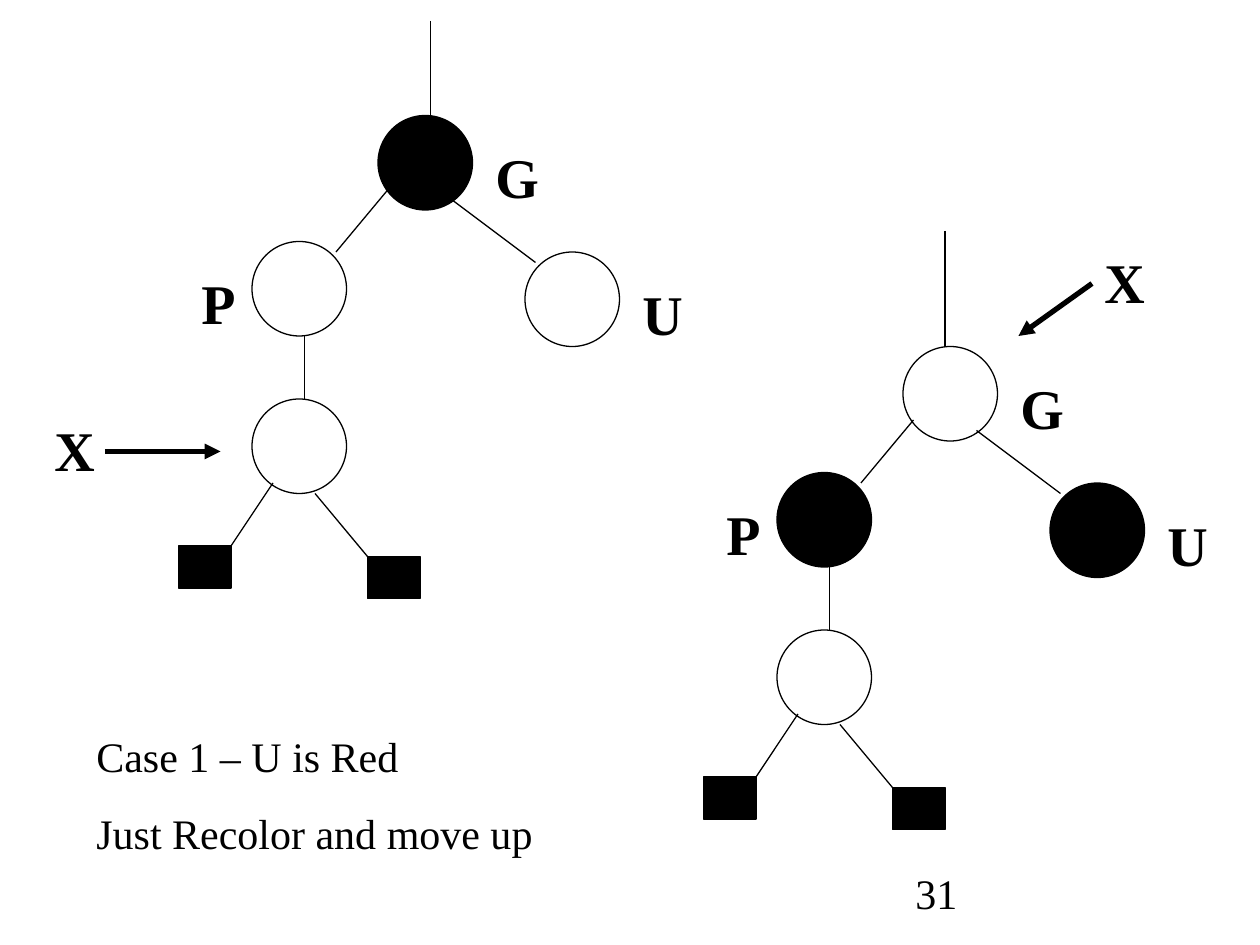
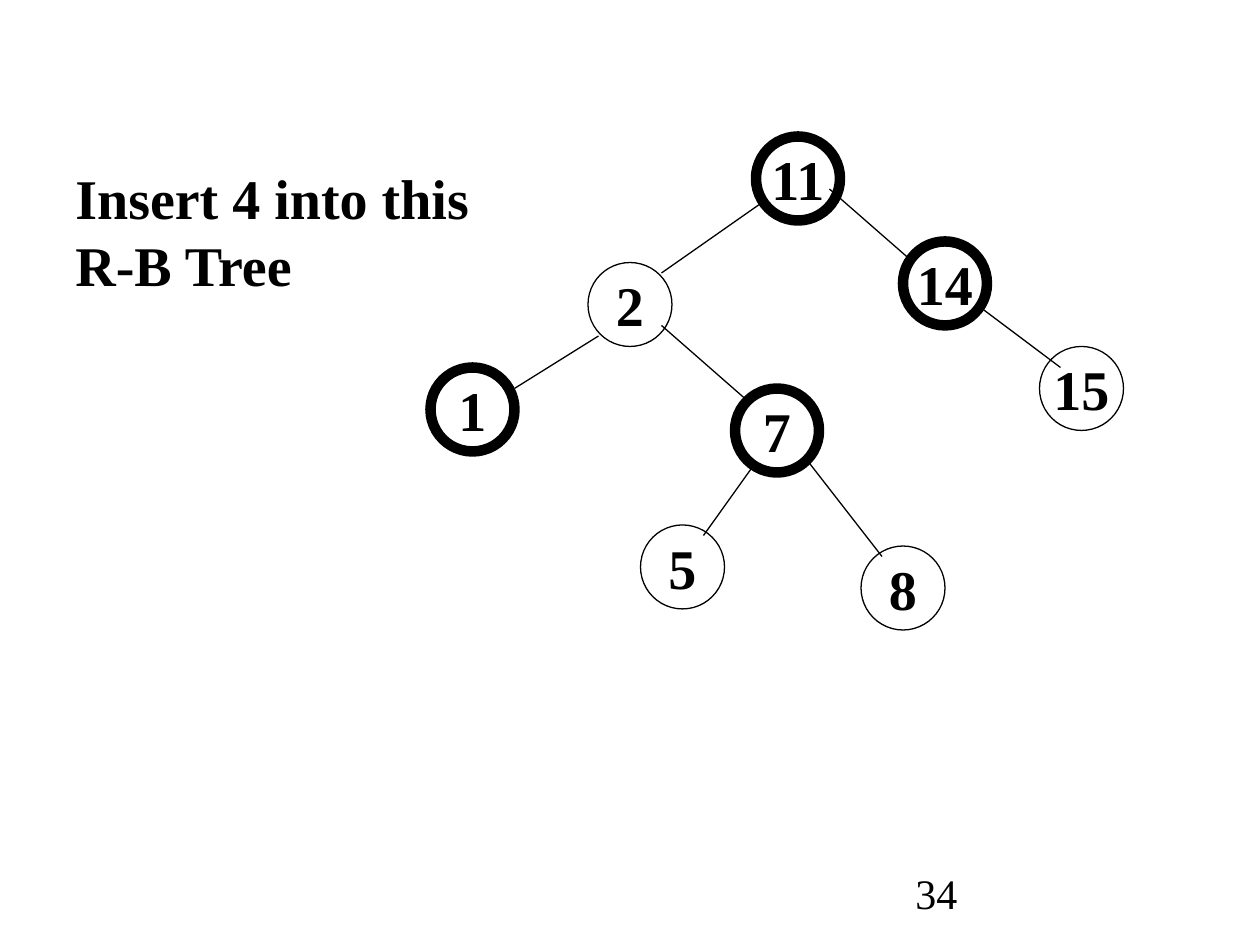
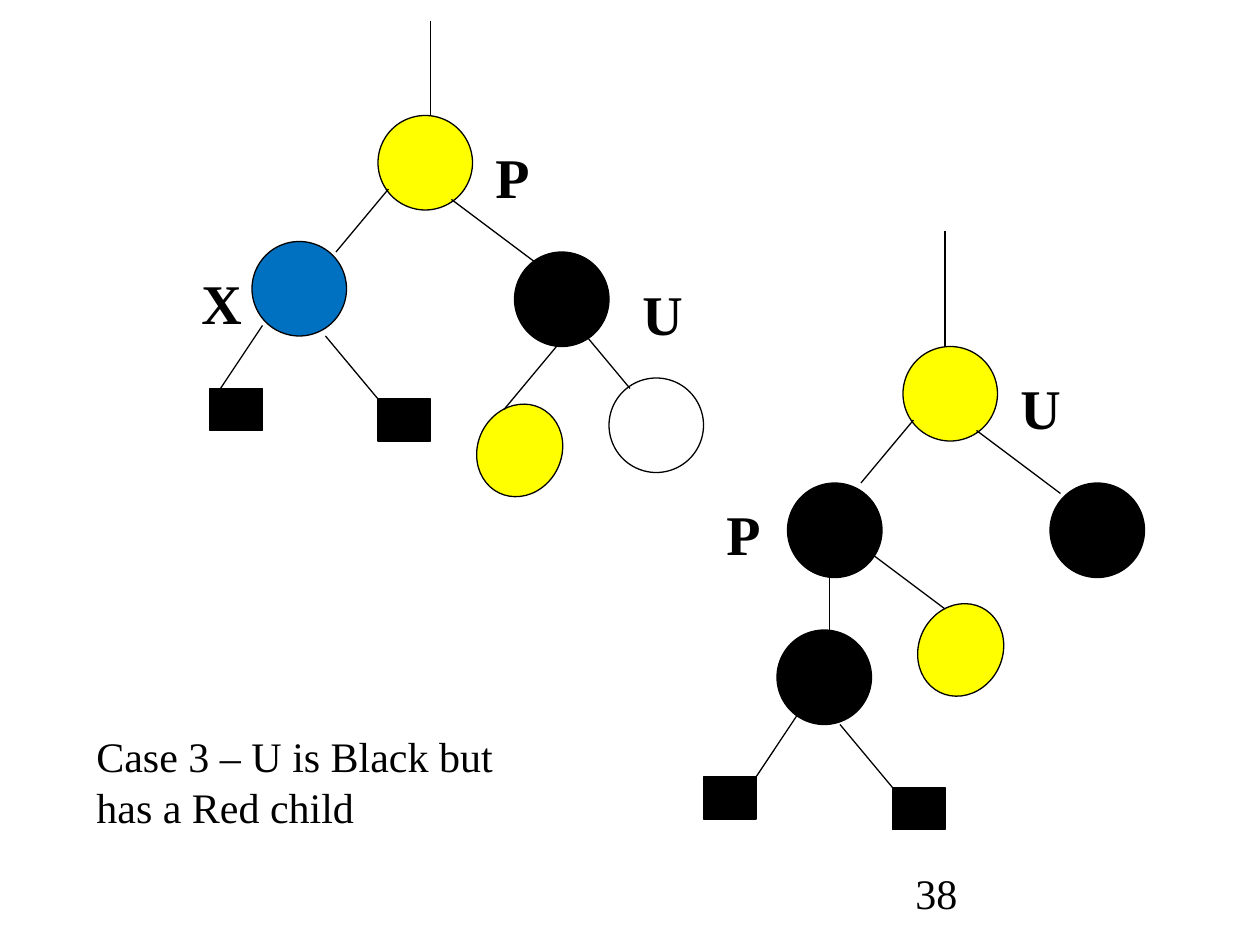
"""Build three slides of red-black tree insertion diagrams on a grid of twelfths of an inch."""
from lxml import etree
from pptx import Presentation
from pptx.dml.color import RGBColor
from pptx.enum.shapes import MSO_CONNECTOR, MSO_SHAPE
from pptx.enum.text import MSO_ANCHOR, PP_ALIGN
from pptx.oxml.ns import qn
from pptx.util import Inches, Pt

OVAL = MSO_SHAPE.OVAL
RECTANGLE = MSO_SHAPE.RECTANGLE
STRAIGHT = MSO_CONNECTOR.STRAIGHT
MIDDLE = MSO_ANCHOR.MIDDLE
CENTER = PP_ALIGN.CENTER

FONT = "Times New Roman"
BLACK, WHITE, YELLOW, BLUE = "000000", "FFFFFF", "FFFF00", "0070C0"
THIN, ARROW, THICK = 0.75, 3, 6
LARGE, SMALL = 32, 24

COLUMNS, ROWS = 120, 90
NODE, KEY_NODE = (9, 9), (8, 8)
LEAF, TILTED = (5, 4), (9, 8)
TILT = 296
LABEL_HEIGHT = 7.7
NUMBER_BOX = (86, 82, 25, 6)
LEFT, RIGHT = (0, 0), (50, 22)

LEFT_STEM, RIGHT_STEM = (41, 2, 41, 11), (40, 0, 40, 11)
ROOT_EDGES = [(37, 18, 32, 24), (43, 19, 51, 25)]
CHILD_EDGES = [(29, 32, 29, 38), (26, 46, 22, 52), (30, 47, 35, 53)]
CHILD_LEAVES = [(17, 52), (35, 53)]


def family(stem, root, parent, uncle):
    """Describe a grandparent, parent, uncle and child for the recoloring case."""
    return {
        "nodes": [(36, 11, root), (24, 23, parent), (50, 24, uncle), (24, 38, WHITE)],
        "leaves": CHILD_LEAVES,
        "edges": [stem, *ROOT_EDGES, *CHILD_EDGES],
        "labels": [("P", 18, 25, 5), ("G", 46, 13, 7), ("U", 60, 26, 5)],
    }


RECOLOR_TREES = [
    (LEFT, family(LEFT_STEM, BLACK, WHITE, WHITE)),
    (RIGHT, family(RIGHT_STEM, WHITE, BLACK, BLACK)),
]
RECOLOR_MARKERS = [
    (("X", 4, 39, 9), (10, 43, 21, 43)),
    (("X", 104, 23, 8), (104, 27, 97, 32)),
]
ROTATION_TREES = [
    (LEFT, {
        "nodes": [(36, 11, YELLOW), (24, 23, BLUE), (49, 24, BLACK), (58, 36, WHITE)],
        "tilted": [(45, 38.9)],
        "leaves": [(20, 37), (36, 38)],
        "edges": [LEFT_STEM, *ROOT_EDGES, (25, 31, 21, 37), (31, 32, 36, 38),
                  (55, 31, 60, 37), (53, 33, 48, 39)],
        "labels": [("X", 18, 25, 5), ("P", 46, 13, 7), ("U", 60, 26, 5)],
    }),
    (RIGHT, {
        "nodes": [(36, 11, YELLOW), (25, 24, BLACK), (50, 24, BLACK), (24, 38, BLACK)],
        "tilted": [(37, 35.9)],
        "leaves": CHILD_LEAVES,
        "edges": [RIGHT_STEM, *ROOT_EDGES, *CHILD_EDGES, (32, 30, 40, 36)],
        "labels": [("P", 18, 25, 5), ("U", 46, 13, 7)],
    }),
]
KEYS = [
    ("11", 72, 13, THICK), ("14", 86, 23, THICK), ("15", 99, 33, THIN), ("2", 56, 25, THIN),
    ("1", 41, 35, THICK), ("7", 70, 37, THICK), ("5", 61, 50, THIN), ("8", 82, 52, THIN),
]
KEY_EDGES = [
    (73, 19, 63, 26), (57, 32, 49, 37), (63, 31, 71, 38), (72, 44, 67, 51),
    (77, 44, 84, 53), (79, 18, 87, 25), (93, 29, 101, 35),
]


def grid(*units):
    """Turn grid units into lengths."""
    return [Inches(unit / 12) for unit in units]


def color(value):
    """Turn a hex string into a colour."""
    return RGBColor.from_string(value)


def write(paragraph, text, size, bold):
    """Add one black run to a paragraph."""
    run = paragraph.add_run()
    run.text = text
    run.font.name = FONT
    run.font.size = Pt(size)
    run.font.bold = bold
    run.font.color.rgb = color(BLACK)


def add_text(slide, box, lines, size, bold=False, space=0):
    """Add a wrapping text box with one paragraph per line."""
    frame = slide.shapes.add_textbox(*grid(*box)).text_frame
    frame.word_wrap = True
    for index, line in enumerate(lines):
        paragraph = frame.add_paragraph() if index else frame.paragraphs[0]
        paragraph.space_before = Pt(space)
        write(paragraph, line, size, bold)


def add_label(slide, text, left, top, width):
    """Add a bold letter beside a node."""
    add_text(slide, (left, top, width, LABEL_HEIGHT), [text], LARGE, True, 20)


def add_node(slide, kind, position, size, fill=BLACK, weight=THIN):
    """Add an outlined node or leaf."""
    shape = slide.shapes.add_shape(kind, *grid(*position, *size))
    shape.shadow.inherit = False
    shape.fill.solid()
    shape.fill.fore_color.rgb = color(fill)
    shape.line.color.rgb = color(BLACK)
    shape.line.width = Pt(weight)
    return shape


def add_edge(slide, ends, weight=THIN, arrow=False):
    """Add a straight line, with an arrowhead at its end if asked."""
    connector = slide.shapes.add_connector(STRAIGHT, *grid(*ends))
    connector.line.color.rgb = color(BLACK)
    connector.line.width = Pt(weight)
    if arrow:
        etree.SubElement(connector.line._get_or_add_ln(), qn("a:tailEnd"), type="triangle")
    etree.SubElement(connector._element.spPr, qn("a:effectLst"))


def add_tree(slide, offset, tree):
    """Draw one tree moved by its offset."""
    across, down = offset
    for left, top, fill in tree["nodes"]:
        add_node(slide, OVAL, (left + across, top + down), NODE, fill)
    for left, top in tree.get("tilted", []):
        add_node(slide, OVAL, (left + across, top + down), TILTED, YELLOW).rotation = TILT
    for left, top in tree["leaves"]:
        add_node(slide, RECTANGLE, (left + across, top + down), LEAF)
    for x1, y1, x2, y2 in tree["edges"]:
        add_edge(slide, (x1 + across, y1 + down, x2 + across, y2 + down))
    for text, left, top, width in tree["labels"]:
        add_label(slide, text, left + across, top + down, width)


def add_key(slide, text, left, top, weight):
    """Add a node holding a number."""
    shape = add_node(slide, OVAL, (left, top), KEY_NODE, WHITE, weight)
    frame = shape.text_frame
    frame.word_wrap = False
    frame.vertical_anchor = MIDDLE
    frame.paragraphs[0].alignment = CENTER
    write(frame.paragraphs[0], text, LARGE, True)


def add_slide(presentation, number):
    """Add a blank slide with its page number."""
    slide = presentation.slides.add_slide(presentation.slide_layouts[6])
    add_text(slide, NUMBER_BOX, [number], SMALL)
    return slide


def main():
    """Build and save the slides."""
    presentation = Presentation()
    presentation.slide_width, presentation.slide_height = grid(COLUMNS, ROWS)

    recolor = add_slide(presentation, "31")
    for offset, tree in RECOLOR_TREES:
        add_tree(recolor, offset, tree)
    for label, arrow in RECOLOR_MARKERS:
        add_label(recolor, *label)
        add_edge(recolor, arrow, ARROW, True)
    add_text(recolor, (8, 69, 44, 13.3), ["Case 1 – U is Red", "Just Recolor and move up"],
             SMALL, space=15)

    insertion = add_slide(presentation, "34")
    for key in KEYS:
        add_key(insertion, *key)
    for ends in KEY_EDGES:
        add_edge(insertion, ends)
    add_text(insertion, (6, 15, 41, 14), ["Insert 4 into this R-B Tree"], LARGE, True, 20)

    rotation = add_slide(presentation, "38")
    for offset, tree in ROTATION_TREES:
        add_tree(rotation, offset, tree)
    add_text(rotation, (8, 69, 44, 10.8), ["Case 3 – U is Black but has a Red child"],
             SMALL, space=15)

    presentation.save("out.pptx")


if __name__ == "__main__":
    main()
